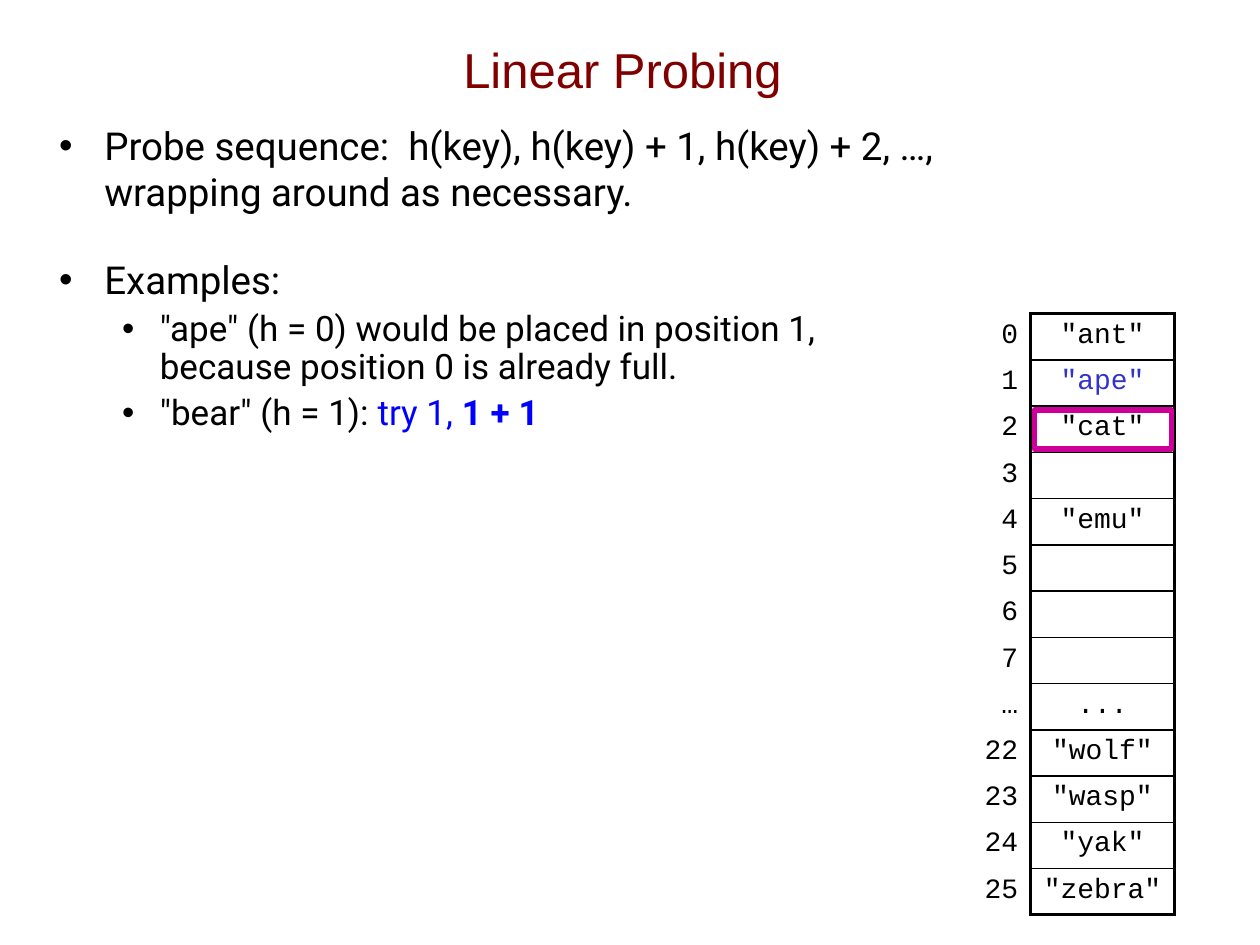
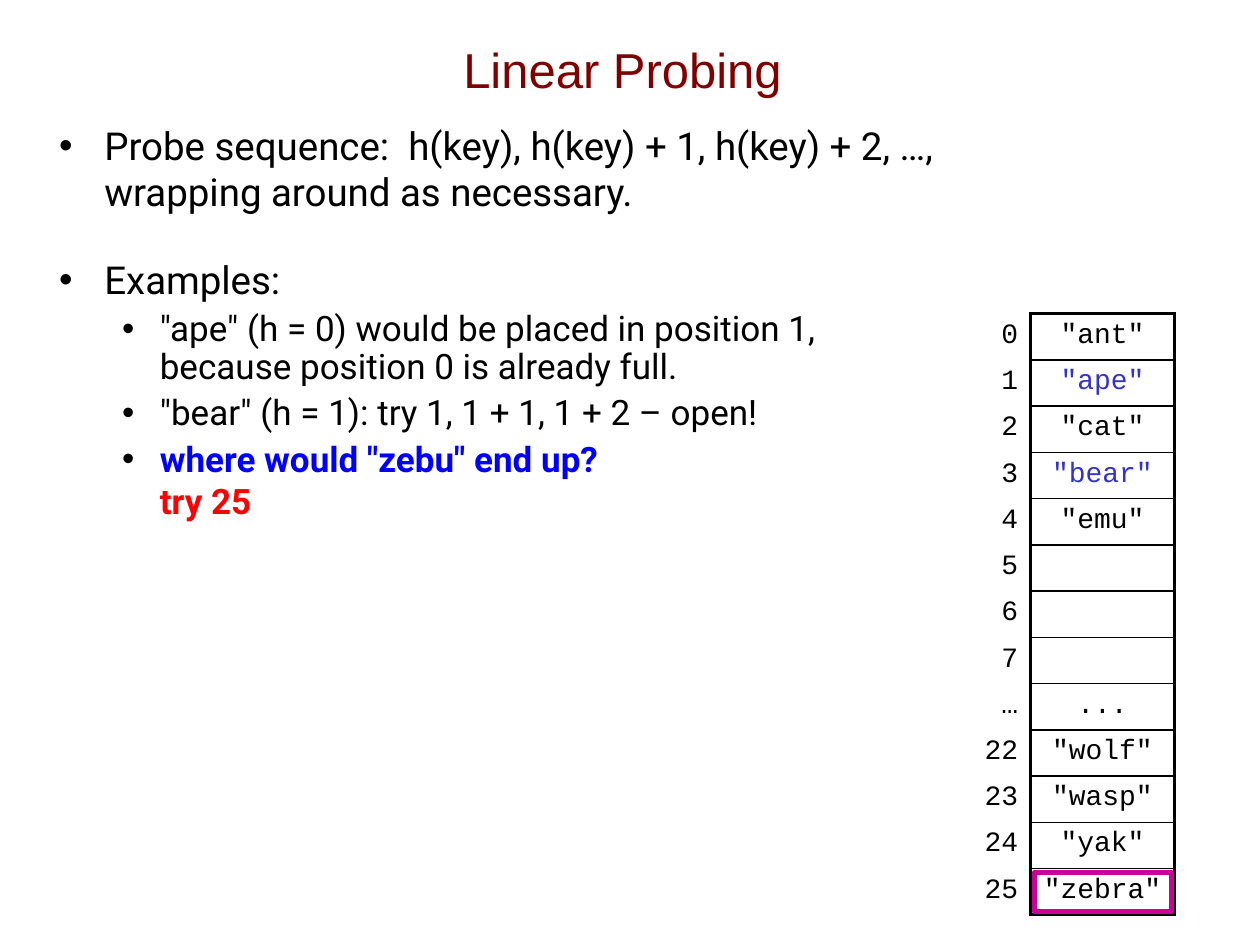
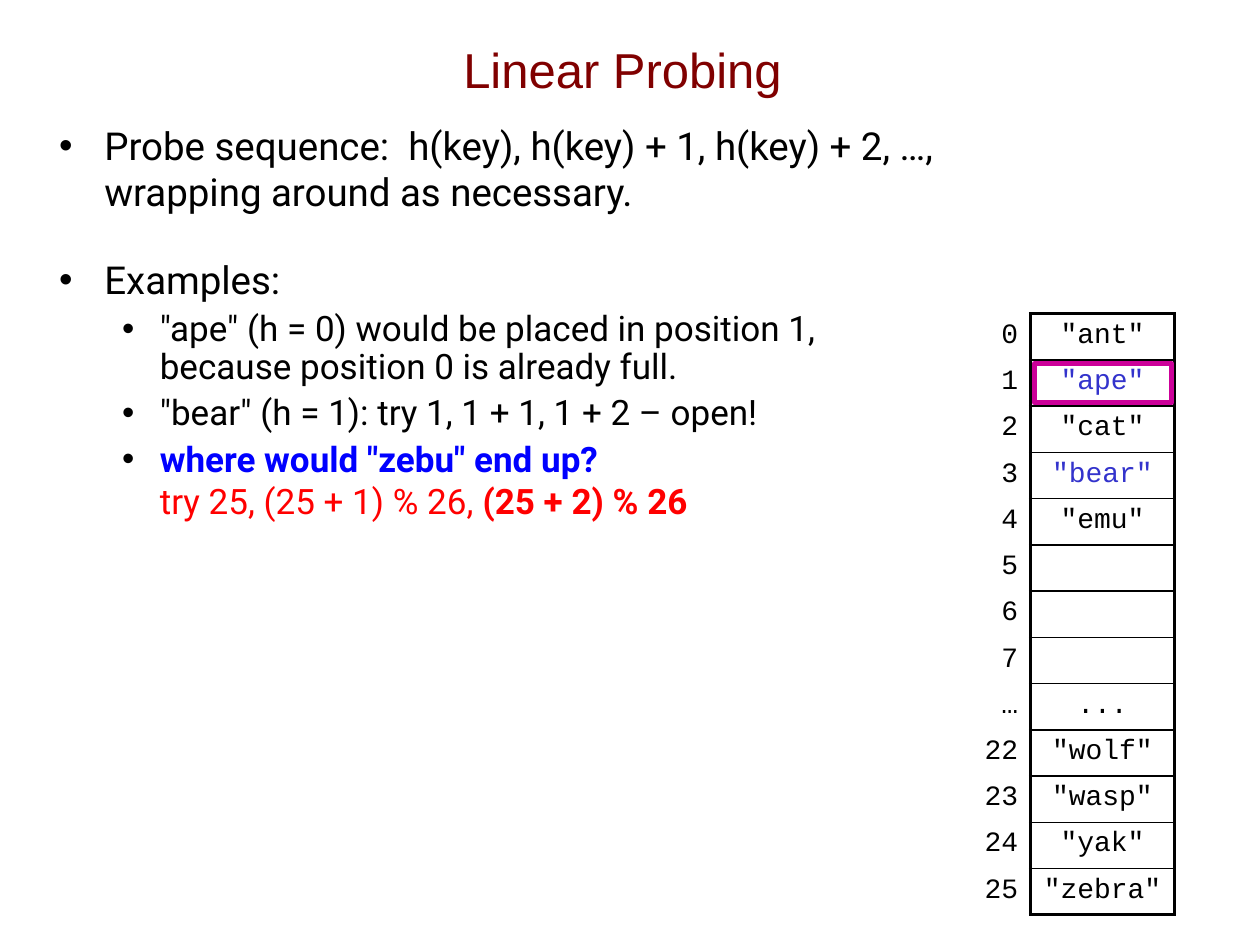
from lxml.etree import SubElement
from pptx import Presentation
from pptx.dml.color import RGBColor
from pptx.enum.shapes import MSO_SHAPE
from pptx.enum.text import MSO_ANCHOR, PP_ALIGN
from pptx.oxml.ns import qn
from pptx.util import Inches, Pt

BLACK = RGBColor(0x00, 0x00, 0x00)
MAROON = RGBColor(0x80, 0x00, 0x00)
BLUE = RGBColor(0x00, 0x00, 0xFF)
RED = RGBColor(0xFF, 0x00, 0x00)
INSERTED = RGBColor(0x33, 0x33, 0xCC)
MAGENTA = RGBColor(0xCC, 0x00, 0x99)

TITLE_FONT, BODY_FONT, CODE_FONT = "Arial", "Roboto", "Courier New"
CODE_SIZE = 16

TABLE_LEFT, TABLE_TOP, TABLE_HEIGHT = 7.03, 2.49, 4.77
INDEX_WIDTH, KEY_WIDTH = 1.15, 1.14
POSITIONS = ["0", "1", "2", "3", "4", "5", "6", "7", "…", "22", "23", "24", "25"]
ROW_HEIGHT = TABLE_HEIGHT / len(POSITIONS)
KEYS = {"0": '"ant"', "2": '"cat"', "4": '"emu"', "…": "...",
        "22": '"wolf"', "23": '"wasp"', "24": '"yak"', "25": '"zebra"'}
THICK, THIN = Pt(2.25), Pt(1)

# Paragraph styles: left margin, hanging indent, space before, line spacing, size
TOP = (0.36, 0.36, 24, 1.0, 22)
EXAMPLE = (0.8, 0.3, 5, 0.9, 20)
QUESTION = (0.8, 0.3, 2, 1.0, 20)

# Each paragraph is a style and its runs: text, colour, bold
opening = [
    (TOP, [("Probe sequence:  h(key), h(key) + 1, h(key) + 2, …,\n"
            "wrapping around as necessary.", BLACK, False)]),
    (TOP, [("Examples:", BLACK, False)]),
    (EXAMPLE, [('"ape" (h = 0) would be placed in position 1,\n'
                "because position 0 is already full.", BLACK, False)]),
]
bear_trying = (EXAMPLE, [('"bear" (h = 1): ', BLACK, False),
                         ("try 1, ", BLUE, False), ("1 + 1", BLUE, True)])
bear_placed = (EXAMPLE, [('"bear" (h = 1): try 1, 1 + 1, 1 + 2 – open!', BLACK, False)])
zebu_question = ('where would "zebu" end up?\n', BLUE, True)

# Each step: body paragraphs, inserted keys, position being probed
steps = [
    (opening + [bear_trying], {"1": '"ape"'}, "2"),
    (opening + [bear_placed, (QUESTION, [zebu_question, ("try 25", RED, True)])],
     {"1": '"ape"', "3": '"bear"'}, "25"),
    (opening + [bear_placed, (QUESTION, [zebu_question,
                                         ("try 25, (25 + 1) % 26,", RED, False),
                                         (" (25 + 2) % 26", RED, True)])],
     {"1": '"ape"', "3": '"bear"'}, "1"),
]


def add_text(paragraph, text, font_name, size, color, bold=False):
    """Add styled runs, with a line break for each newline."""
    for number, line in enumerate(text.split("\n")):
        if number:
            paragraph.add_line_break()
        if line:
            run = paragraph.add_run()
            run.text = line
            run.font.name = font_name
            run.font.size = Pt(size)
            run.font.bold = bold
            run.font.color.rgb = color


def add_border(cell, side, width):
    line = SubElement(cell._tc.get_or_add_tcPr(), qn(f"a:ln{side}"), w=str(width))
    fill = SubElement(line, qn("a:solidFill"))
    SubElement(fill, qn("a:srgbClr"), val=str(BLACK))


presentation = Presentation()
presentation.slide_width = Inches(10)
presentation.slide_height = Inches(7.5)

for body, inserted, probed in steps:
    slide = presentation.slides.add_slide(presentation.slide_layouts[6])

    title = slide.shapes.add_textbox(Inches(0.64), Inches(0.08), Inches(8.6), Inches(0.93))
    title.text_frame.word_wrap = True
    title.text_frame.vertical_anchor = MSO_ANCHOR.MIDDLE
    paragraph = title.text_frame.paragraphs[0]
    paragraph.alignment = PP_ALIGN.CENTER
    add_text(paragraph, "Linear Probing", TITLE_FONT, 28, MAROON)

    body_box = slide.shapes.add_textbox(Inches(0.37), Inches(0.92), Inches(9.25), Inches(6.14))
    frame = body_box.text_frame
    frame.word_wrap = True
    for number, (style, runs) in enumerate(body):
        margin, hanging, space_before, line_spacing, size = style
        paragraph = frame.add_paragraph() if number else frame.paragraphs[0]
        paragraph.level = 0 if style is TOP else 1
        paragraph.space_before = Pt(space_before if number else 0)
        paragraph.line_spacing = line_spacing
        properties = paragraph._p.get_or_add_pPr()
        properties.set("marL", str(Inches(margin)))
        properties.set("indent", str(-Inches(hanging)))
        bullet_color = SubElement(properties, qn("a:buClr"))
        SubElement(bullet_color, qn("a:srgbClr"), val=str(BLACK))
        SubElement(properties, qn("a:buFont"), typeface=TITLE_FONT)
        SubElement(properties, qn("a:buChar"), char="•")
        for text, color, bold in runs:
            add_text(paragraph, text, BODY_FONT, size, color, bold)

    table = slide.shapes.add_table(
        len(POSITIONS), 2, Inches(TABLE_LEFT), Inches(TABLE_TOP),
        Inches(INDEX_WIDTH + KEY_WIDTH), Inches(TABLE_HEIGHT)).table
    table.first_row = False
    table.horz_banding = False
    table.columns[0].width = Inches(INDEX_WIDTH)
    table.columns[1].width = Inches(KEY_WIDTH)
    last_row = len(POSITIONS) - 1
    for row, position in enumerate(POSITIONS):
        table.rows[row].height = Inches(ROW_HEIGHT)
        index_cell, key_cell = table.cell(row, 0), table.cell(row, 1)
        add_border(index_cell, "R", THICK)
        add_border(key_cell, "L", THICK)
        add_border(key_cell, "R", THICK)
        add_border(key_cell, "T", THIN if row else THICK)
        add_border(key_cell, "B", THIN if row < last_row else THICK)

        key = inserted.get(position, KEYS.get(position, ""))
        key_color = INSERTED if position in inserted else BLACK
        for cell, text, color, alignment in (
                (index_cell, position, BLACK, PP_ALIGN.RIGHT),
                (key_cell, key, key_color, PP_ALIGN.CENTER)):
            cell.fill.background()
            paragraph = cell.text_frame.paragraphs[0]
            paragraph.alignment = alignment
            add_text(paragraph, text, CODE_FONT, CODE_SIZE, color)
            # Keeps empty cells from growing to the default text size
            end = SubElement(paragraph._p, qn("a:endParaRPr"), sz=str(CODE_SIZE * 100))
            SubElement(end, qn("a:latin"), typeface=CODE_FONT)

    probe_top = TABLE_TOP + POSITIONS.index(probed) * ROW_HEIGHT + 0.03
    probe_frame = slide.shapes.add_shape(
        MSO_SHAPE.RECTANGLE, Inches(TABLE_LEFT + INDEX_WIDTH + 0.03), Inches(probe_top),
        Inches(1.09), Inches(0.31))
    probe_frame.shadow.inherit = False
    probe_frame.fill.background()
    probe_frame.line.color.rgb = MAGENTA
    probe_frame.line.width = Pt(3)

presentation.save("out.pptx")
